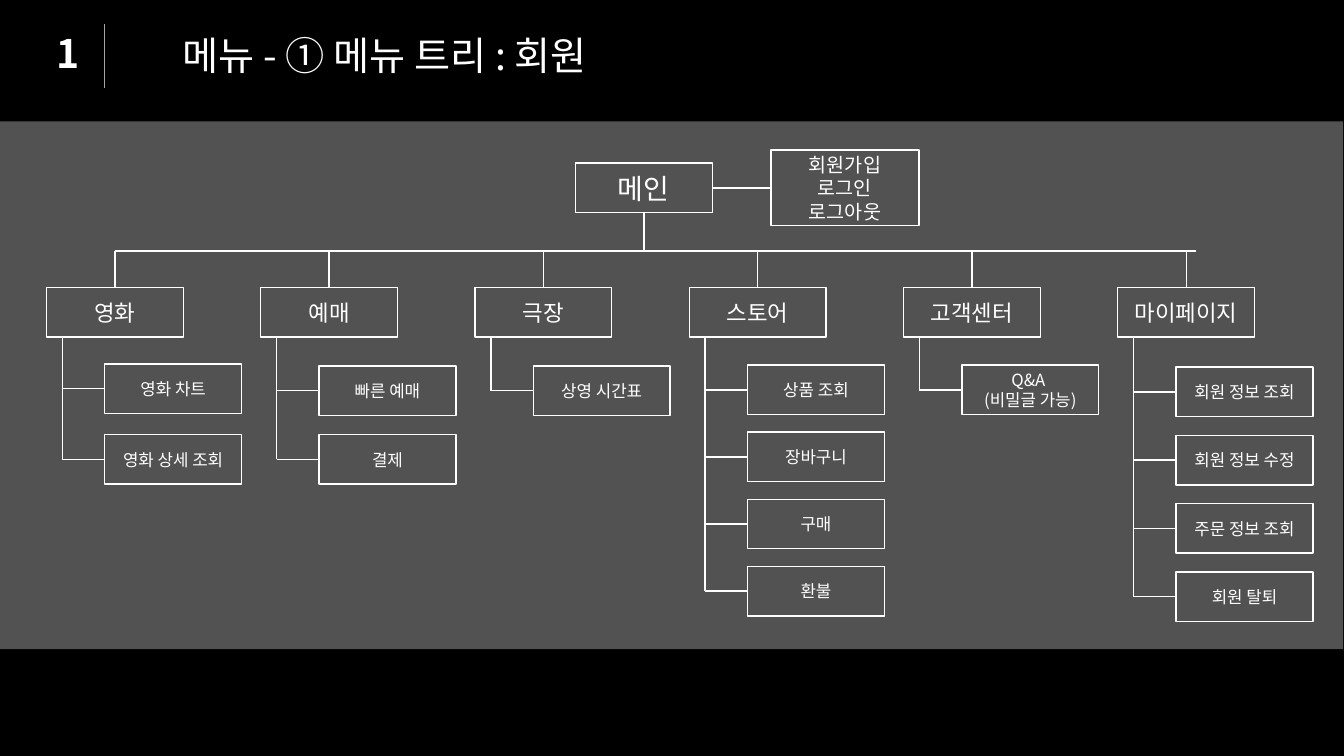
from dataclasses import dataclass

import pptx
import pptx.dml.color
import pptx.enum.shapes
import pptx.enum.text
import pptx.oxml
import pptx.oxml.ns
import pptx.util

Cm = pptx.util.Cm
ALIGN = pptx.enum.text.PP_ALIGN
MIDDLE = pptx.enum.text.MSO_ANCHOR.MIDDLE
RECT = pptx.enum.shapes.MSO_SHAPE.RECTANGLE
STRAIGHT = pptx.enum.shapes.MSO_CONNECTOR.STRAIGHT

FONT = "Noto Sans CJK KR"
WHITE, GRAY, BLACK = "FFFFFF", "A5A5A5", "000000"
TOP, LEFT, BOTTOM, RIGHT = range(4)

BOX_W, BOX_H = 3.45, 1.25
MENU_X, MENU_Y, MENU_STEP = 1.17, 7.24, 5.4
BUS_Y, BUS_END = 6.32, 30.15
TRUNK_DX, CHILD_DX = 0.4, 1.47


@dataclass
class Menu:
    name: str
    children: list[str]
    child_y: float
    child_step: float = 0


MENUS = [
    Menu("영화", ["영화 차트", "영화 상세 조회"], 9.17, 1.78),
    Menu("예매", ["빠른 예매", "결제"], 9.22, 1.73),
    Menu("극장", ["상영 시간표"], 9.22),
    Menu("스토어", ["상품 조회", "장바구니", "구매", "환불"], 9.2, 1.69),
    Menu("고객센터", ["Q&A \v(비밀글 가능)"], 9.2),
    Menu("마이페이지", ["회원 정보 조회", "회원 정보 수정", "주문 정보 조회", "회원 탈퇴"], 9.25, 1.72),
]


def rgb(value: str) -> pptx.dml.color.RGBColor:
    return pptx.dml.color.RGBColor.from_string(value)


def write(sp, text: str, size: float, align=ALIGN.CENTER, bold: bool = False) -> None:
    tf = sp.text_frame
    tf.word_wrap = True
    tf.auto_size = pptx.enum.text.MSO_AUTO_SIZE.NONE
    tf.vertical_anchor = MIDDLE
    tf.margin_top = tf.margin_bottom = 0
    for i, paragraph in enumerate(text.split("\n")):
        p = tf.paragraphs[0] if i == 0 else tf.add_paragraph()
        p.alignment = align
        for j, line in enumerate(paragraph.split("\v")):
            if j:
                p.add_line_break()
            r = p.add_run()
            r.text = line
            r.font.size = pptx.util.Pt(size)
            r.font.bold = bold
            r.font.color.rgb = rgb(WHITE)
            r.font.name = FONT
            ea = pptx.oxml.parse_xml(f'<a:ea {pptx.oxml.ns.nsdecls("a")} typeface="{FONT}"/>')
            r.font._element.append(ea)


def add_box(slide, x: float, y: float, text: str, size: float, w: float = BOX_W, h: float = BOX_H):
    sp = slide.shapes.add_shape(RECT, Cm(x), Cm(y), Cm(w), Cm(h))
    sp.shadow.inherit = False
    sp.fill.background()
    sp.line.color.rgb = rgb(WHITE)
    sp.line.width = pptx.util.Pt(1)
    write(sp, text, size)
    return sp


def add_line(slide, x1: float, y1: float, x2: float, y2: float, color: str = WHITE, width: float = 1):
    cxn = slide.shapes.add_connector(STRAIGHT, Cm(x1), Cm(y1), Cm(x2), Cm(y2))
    cxn.line.color.rgb = rgb(color)
    cxn.line.width = pptx.util.Pt(width)
    cxn._element.spPr.append(pptx.oxml.parse_xml(f'<a:effectLst {pptx.oxml.ns.nsdecls("a")}/>'))
    return cxn


def add_panel(slide) -> None:
    sp = slide.shapes.add_shape(RECT, Cm(-0.02), Cm(3.06), Cm(33.87), Cm(13.3))
    sp.shadow.inherit = False
    sp.line.fill.background()
    sp.fill.solid()
    sp.fill.fore_color.rgb = rgb(GRAY)
    color = sp._element.spPr.find(".//" + pptx.oxml.ns.qn("a:srgbClr"))
    color.append(pptx.oxml.parse_xml(f'<a:alpha {pptx.oxml.ns.nsdecls("a")} val="50000"/>'))


def add_heading(slide) -> None:
    add_line(slide, 2.62, 0.61, 2.62, 2.22, GRAY, 0.5)
    number = slide.shapes.add_textbox(Cm(1.17), Cm(0.61), Cm(1.12), Cm(1.45))
    write(number, "1", 28, ALIGN.LEFT, bold=True)
    title = slide.shapes.title
    title.left, title.top, title.width, title.height = Cm(2.59), Cm(0.66), Cm(12.45), Cm(1.45)
    write(title, "메뉴 - ① 메뉴 트리 : 회원", 28, ALIGN.RIGHT)


def add_root(slide) -> None:
    x, y = 14.5, 4.11
    main = add_box(slide, x, y, "메인", 20)
    account = add_box(slide, 19.43, 3.78, "회원가입\v로그인\n로그아웃", 14, 3.73, 1.91)
    link = add_line(slide, x + BOX_W, y + BOX_H / 2, 19.43, y + BOX_H / 2)
    link.begin_connect(main, RIGHT)
    link.end_connect(account, LEFT)
    stem = add_line(slide, x + BOX_W / 2, y + BOX_H, x + BOX_W / 2, BUS_Y)
    stem.begin_connect(main, BOTTOM)
    add_line(slide, MENU_X + BOX_W / 2, BUS_Y, BUS_END, BUS_Y)


def add_menu(slide, menu: Menu, x: float) -> None:
    head = add_box(slide, x, MENU_Y, menu.name, 16)
    center, trunk = x + BOX_W / 2, x + TRUNK_DX
    add_line(slide, center, BUS_Y, center, MENU_Y).end_connect(head, TOP)
    for i, name in enumerate(menu.children):
        y = menu.child_y + i * menu.child_step
        child = add_box(slide, x + CHILD_DX, y, name, 12)
        middle = y + BOX_H / 2
        add_line(slide, trunk, middle, x + CHILD_DX, middle).end_connect(child, LEFT)
    add_line(slide, trunk, MENU_Y + BOX_H, trunk, middle)


def main() -> None:
    prs = pptx.Presentation()
    prs.slide_width, prs.slide_height = Cm(33.87), Cm(19.05)
    slide = prs.slides.add_slide(prs.slide_layouts[5])
    slide.background.fill.solid()
    slide.background.fill.fore_color.rgb = rgb(BLACK)
    add_panel(slide)
    add_heading(slide)
    add_root(slide)
    for i, menu in enumerate(MENUS):
        add_menu(slide, menu, MENU_X + i * MENU_STEP)
    prs.save("out.pptx")


if __name__ == "__main__":
    main()
